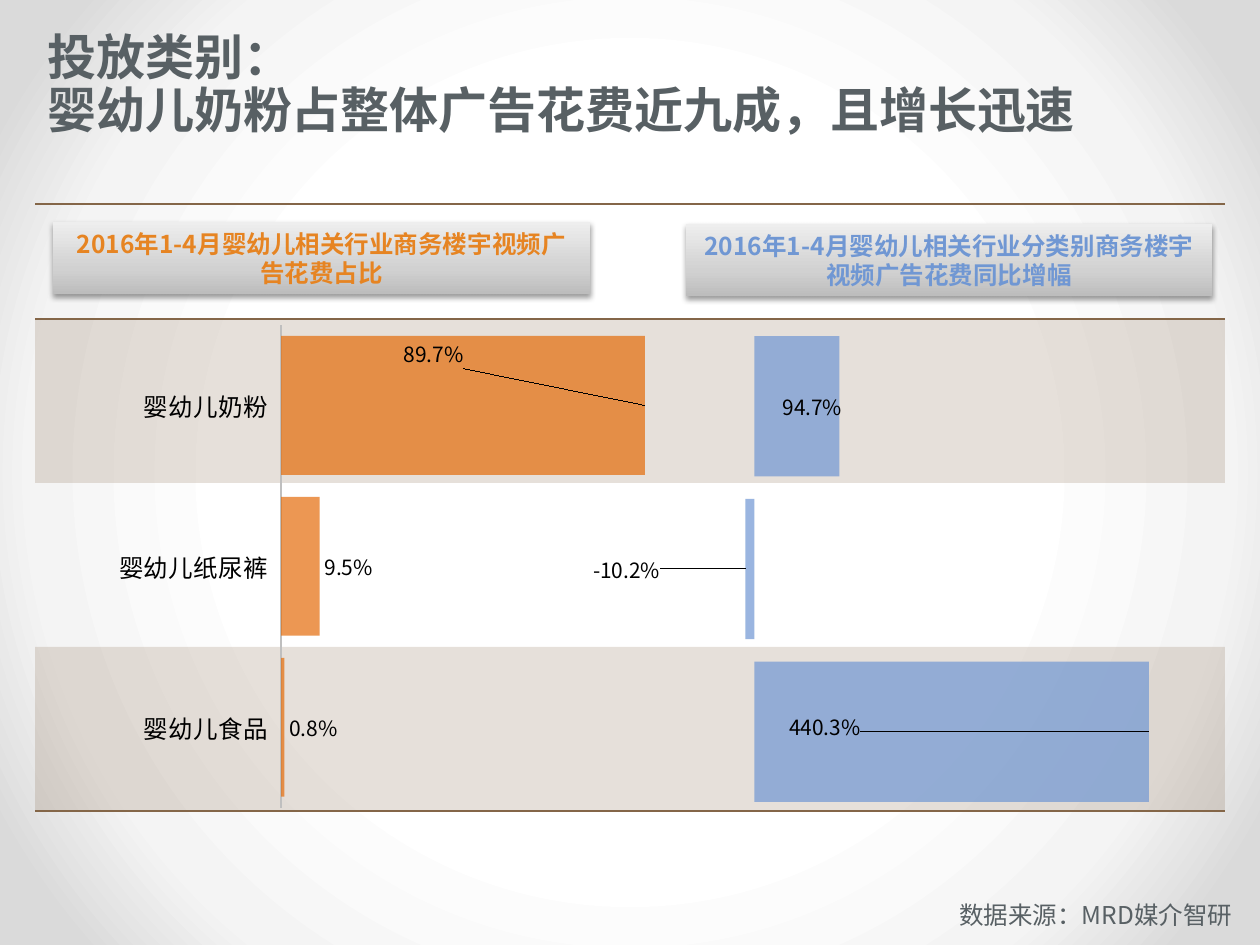
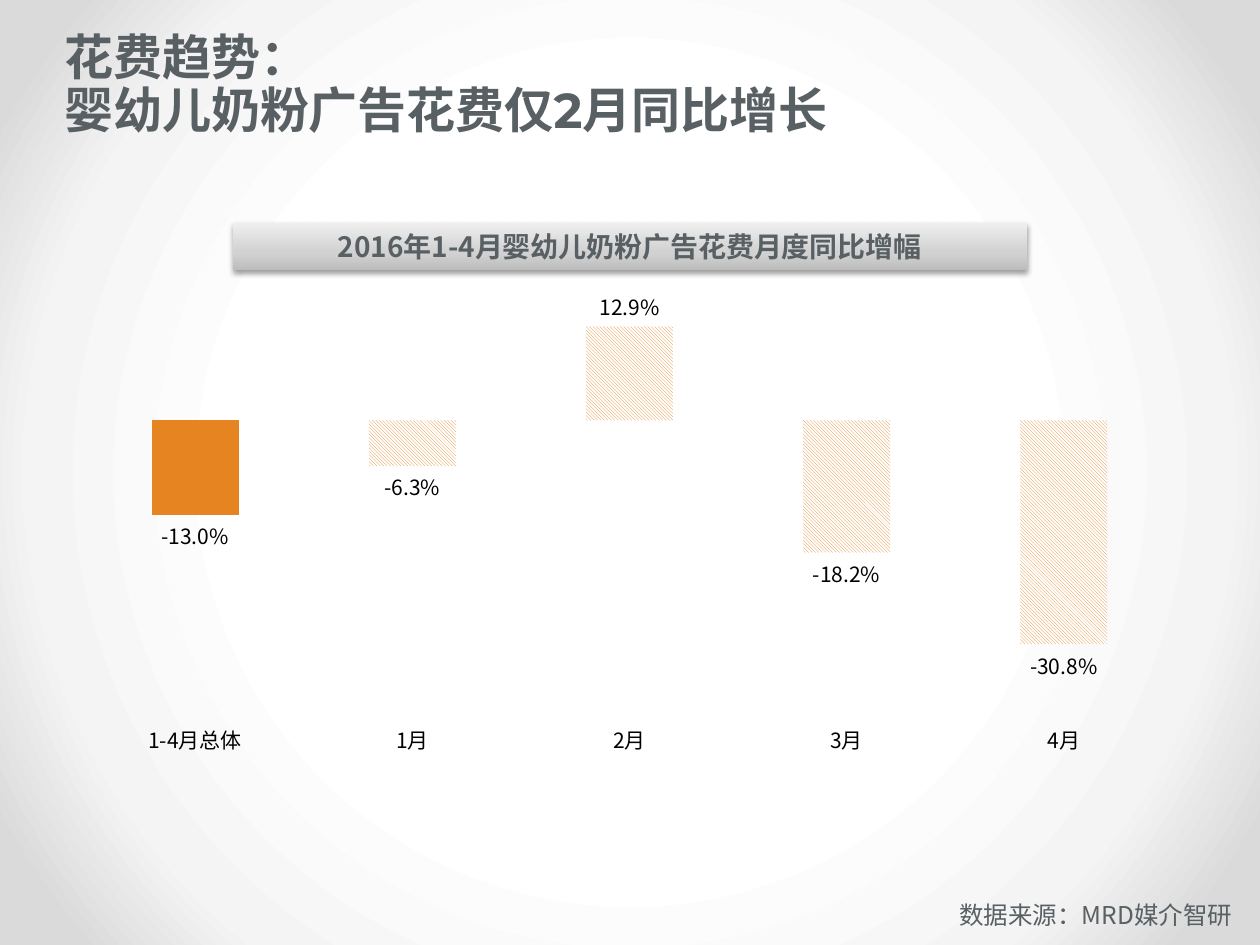
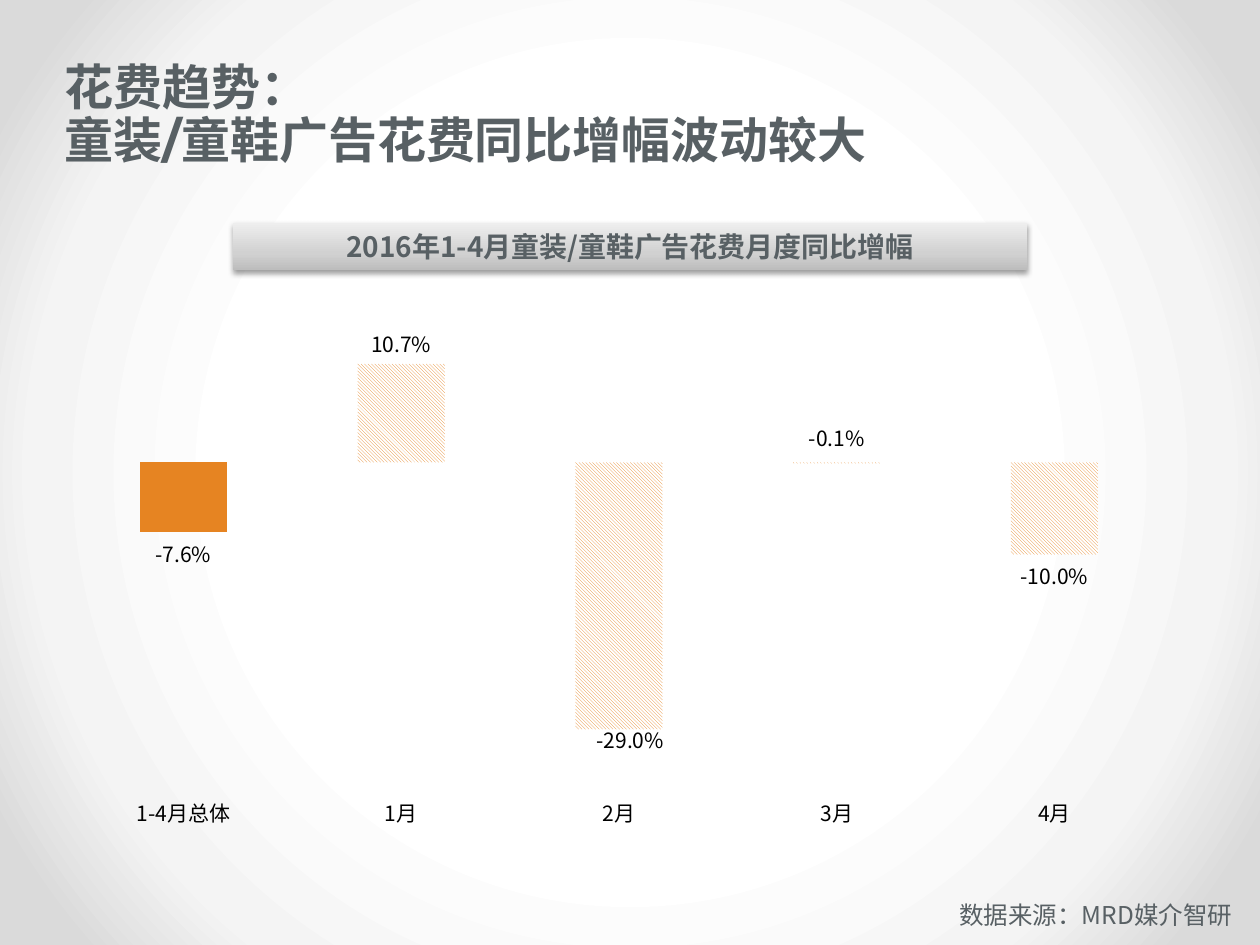
import copy
import lxml.etree as etree
import pptx
import pptx.chart.data
import pptx.dml.color
import pptx.enum.chart
import pptx.enum.dml
import pptx.enum.shapes
import pptx.enum.text
import pptx.oxml
import pptx.oxml.ns
import pptx.util

qn = pptx.oxml.ns.qn
rgb = pptx.dml.color.RGBColor.from_string
Pt = pptx.util.Pt
Align = pptx.enum.text.PP_ALIGN
Anchor = pptx.enum.text.MSO_ANCHOR
Kind = pptx.enum.chart.XL_CHART_TYPE
Tick = pptx.enum.chart.XL_TICK_MARK


class Theme:
    ink = "586064"
    black = "000000"
    brown = "846648"
    orange = "E68422"
    amber = "E46C0A"
    blue = "7097D3"
    white = "FFFFFF"
    axis = "BFBFBF"
    page = [(50, "FFFFFF"), (76, "F4F4F4"), (92, "DADADA")]
    metal = [(0, "BDBDBD"), (35, "D1D1D1"), (100, "EEEEEE")]
    head = "Montserrat"
    body = "Noto Sans CJK SC"
    title = 28
    banner = 16
    note = 14
    label = 12


def px(*nums):
    return [pptx.util.Emu(round(n * 914400 / 126)) for n in nums]


def write(shape, lines, size, color, font=Theme.body, bold=False,
          align=Align.LEFT, anchor=Anchor.TOP, gap=None):
    frame = shape.text_frame
    frame.word_wrap = True
    frame.vertical_anchor = anchor
    frame.text = "\n".join(lines)
    for para in frame.paragraphs:
        para.alignment = align
        para.line_spacing = gap
        para.font.size = Pt(size)
        para.font.bold = bold
        para.font.color.rgb = rgb(color)
        para.font.name = font


A = pptx.oxml.ns.nsdecls("a")
C = pptx.oxml.ns.nsdecls("c")
grads = []
for stops, shade in [
    (Theme.page, '<a:path path="circle"><a:fillToRect l="50000" t="50000" r="50000" b="50000"/></a:path>'),
    (Theme.metal, '<a:lin ang="16200000" scaled="0"/>'),
]:
    marks = "".join(f'<a:gs pos="{pos}000"><a:srgbClr val="{color}"/></a:gs>' for pos, color in stops)
    grads.append(pptx.oxml.parse_xml(f'<a:gradFill {A} rotWithShape="1"><a:gsLst>{marks}</a:gsLst>{shade}</a:gradFill>'))
page, metal = grads

deck = pptx.Presentation()
deck.slide_width, deck.slide_height = px(1260, 945)
master = deck.slide_master
master.background.fill.solid()
back = master.element.find(".//" + qn("p:bgPr"))
back.replace(back.find(qn("a:solidFill")), page)

months = ["1-4月总体", "1月", "2月", "3月", "4月"]
pages = [
    dict(
        title=["投放类别：", "婴幼儿奶粉占整体广告花费近九成，且增长迅速"],
        spot=(35, 25, 1197, 120),
        banners=[
            ("2016年1-4月婴幼儿相关行业商务楼宇视频广告花费占比", (53, 222, 537, 72), Theme.note, Theme.orange),
            ("2016年1-4月婴幼儿相关行业分类别商务楼宇视频广告花费同比增幅", (686, 224, 526, 72), Theme.note, Theme.blue),
        ],
        charts=[
            dict(kind=Kind.BAR_CLUSTERED, box=(35, 304, 665, 525),
                 cats=["婴幼儿奶粉", "婴幼儿纸尿裤", "婴幼儿食品"], vals=[0.897, 0.095, 0.008],
                 color=Theme.amber, range=(0, 1), plot=(0.37, 0.04, 0.61, 0.92),
                 moved={0: (-0.37, -0.1)}, show=True, size=Theme.note),
            dict(kind=Kind.BAR_CLUSTERED, box=(593, 304, 622, 525),
                 cats=["1", "2", "3"], vals=[0.947, -0.102, 4.403],
                 color=Theme.blue, range=(-1, 5), plot=(0.11, 0.04, 0.87, 0.93),
                 moved={0: (-0.1, 0), 1: (-0.13, 0), 2: (-0.59, -0.01)}, show=False, size=Theme.note),
        ],
    ),
    dict(
        title=["花费趋势：", "婴幼儿奶粉广告花费仅2月同比增长"],
        spot=(52, 25, 1149, 120),
        banners=[("2016年1-4月婴幼儿奶粉广告花费月度同比增幅", (233, 223, 794, 47), Theme.banner, Theme.ink)],
        charts=[
            dict(kind=Kind.COLUMN_CLUSTERED, box=(64, 265, 1131, 500),
                 cats=months, vals=[-0.13, -0.063, 0.129, -0.182, -0.308],
                 range=(-0.4, 0.2), moved={}, show=True, size=Theme.label, tick=Tick.OUTSIDE),
        ],
    ),
    dict(
        title=["花费趋势：", "童装/童鞋广告花费同比增幅波动较大"],
        spot=(52, 55, 1149, 120),
        banners=[("2016年1-4月童装/童鞋广告花费月度同比增幅", (233, 223, 794, 47), Theme.banner, Theme.ink)],
        charts=[
            dict(kind=Kind.COLUMN_CLUSTERED, box=(52, 314, 1134, 525),
                 cats=months, vals=[-0.076, 0.107, -0.29, -0.001, -0.1],
                 range=(-0.35, 0.15), moved={2: (0.01, -0.02), 3: (0, -0.09)},
                 show=True, size=Theme.label),
        ],
    ),
]

for item in pages:
    slide = deck.slides.add_slide(deck.slide_layouts[6])
    roots = [slide.element]

    if item is pages[0]:
        table = slide.shapes.add_table(4, 1, *px(35, 204, 1190, 607)).table
        table.first_row = table.horz_banding = False
        style = table._tbl.find(".//" + qn("a:tableStyleId"))
        style.text = "{2D5ABB26-0587-4C30-8999-92F81FD0307C}"
        for row, (high, shaded, edges) in enumerate([
            (115, False, ["lnT", "lnB"]), (164, True, []), (164, False, []), (164, True, ["lnB"]),
        ]):
            table.rows[row].height = px(high)[0]
            cell = table.cell(row, 0)
            props = cell._tc.get_or_add_tcPr()
            if shaded:
                cell.fill.solid()
                cell.fill.fore_color.rgb = rgb(Theme.brown)
                etree.SubElement(props.find(".//" + qn("a:srgbClr")), qn("a:alpha"), val="20000")
            else:
                cell.fill.background()
            for spot, edge in enumerate(edges):
                props.insert(spot, pptx.oxml.parse_xml(
                    f'<a:{edge} {A} w="12700"><a:solidFill><a:srgbClr val="{Theme.brown}"/></a:solidFill></a:{edge}>'))

    source = slide.shapes.add_textbox(*px(779, 900, 466, 35))
    write(source, ["数据来源：MRD媒介智研"], Theme.note, Theme.ink, align=Align.RIGHT, gap=Pt(13))
    title = slide.shapes.add_textbox(*px(*item["spot"]))
    write(title, item["title"], Theme.title, Theme.ink, Theme.head, True, anchor=Anchor.BOTTOM, gap=0.9)

    for text, box, size, color in item["banners"]:
        banner = slide.shapes.add_shape(pptx.enum.shapes.MSO_SHAPE.RECTANGLE, *px(*box))
        banner.fill.solid()
        banner.line.fill.background()
        banner.shadow.inherit = False
        props = banner.element.spPr
        props.replace(props.find(qn("a:solidFill")), copy.deepcopy(metal))
        props.find(qn("a:effectLst")).append(pptx.oxml.parse_xml(
            f'<a:outerShdw {A} blurRad="39370" dist="20320" dir="5400000" rotWithShape="0">'
            f'<a:srgbClr val="{Theme.black}"><a:alpha val="38000"/></a:srgbClr></a:outerShdw>'))
        write(banner, [text], size, color, bold=True, align=Align.CENTER, anchor=Anchor.MIDDLE)

    for info in item["charts"]:
        bars = info["kind"] == Kind.BAR_CLUSTERED
        data = pptx.chart.data.CategoryChartData(number_format="0.0%")
        data.categories = info["cats"]
        data.add_series("Series 1", info["vals"])
        chart = slide.shapes.add_chart(info["kind"], *px(*info["box"]), data).chart
        root = chart._chartSpace
        roots.append(root)
        chart.has_title = chart.has_legend = False
        chart.font.size = Pt(info["size"])
        chart.font.name = Theme.body
        chart.font.color.rgb = rgb(Theme.black)

        value = chart.value_axis
        value.visible = value.has_major_gridlines = False
        value.minimum_scale, value.maximum_scale = info["range"]
        axis = chart.category_axis
        axis.visible = info["show"]
        axis.reverse_order = bars
        axis.major_tick_mark = info.get("tick", Tick.NONE)
        axis.tick_label_position = pptx.enum.chart.XL_TICK_LABEL_POSITION.LOW
        axis.tick_labels.font.size = Pt(info["size"])
        axis.tick_labels.font.name = Theme.body
        plot = chart.plots[0]
        plot.vary_by_categories = False
        series = plot.series[0]
        series.invert_if_negative = False
        fill = series.format.fill

        if bars:
            axis.format.line.color.rgb = rgb(Theme.axis)
            axis.format.line.width = Pt(1.25)
            plot.gap_width = 16
            fill.solid()
            fill.fore_color.rgb = rgb(info["color"])
            etree.SubElement(series._element.find(".//" + qn("a:srgbClr")), qn("a:alpha"), val="70000")
            area = root.find(".//" + qn("c:plotArea"))
            for old in area.findall(qn("c:layout")):
                area.remove(old)
            sides = "".join(f'<c:{key} val="{val}"/>' for key, val in zip("xywh", info["plot"]))
            area.insert(0, pptx.oxml.parse_xml(
                f'<c:layout {C}><c:manualLayout><c:layoutTarget val="inner"/><c:xMode val="edge"/>'
                f'<c:yMode val="edge"/>{sides}</c:manualLayout></c:layout>'))
        else:
            axis.format.line.fill.background()
            plot.gap_width = 150
            plot.overlap = -25
            fill.patterned()
            fill.pattern = pptx.enum.dml.MSO_PATTERN.DARK_DOWNWARD_DIAGONAL
            fill.fore_color.rgb = rgb(Theme.orange)
            fill.back_color.rgb = rgb(Theme.white)
            total = series.points[0].format.fill
            total.solid()
            total.fore_color.rgb = rgb(Theme.orange)

        labels = series.data_labels
        labels.show_value = True
        labels.number_format = "0.0%"
        labels.number_format_is_linked = False
        notes = [labels] + [series.points[spot].data_label for spot in info["moved"]]
        for note in notes:
            note.position = pptx.enum.chart.XL_LABEL_POSITION.OUTSIDE_END
            note.font.size = Pt(Theme.label)
            note.font.name = Theme.body
            note.font.color.rgb = rgb(Theme.black)
        for mark in series._element.iter(qn("c:dLbl")):
            index = mark.find(qn("c:idx"))
            x, y = info["moved"][int(index.get("val"))]
            index.addnext(pptx.oxml.parse_xml(
                f'<c:layout {C}><c:manualLayout><c:x val="{x}"/><c:y val="{y}"/></c:manualLayout></c:layout>'))

    for root in roots:
        for latin in list(root.iter(qn("a:latin"))):
            latin.addnext(etree.Element(qn("a:ea"), typeface=Theme.body))

deck.save("out.pptx")
